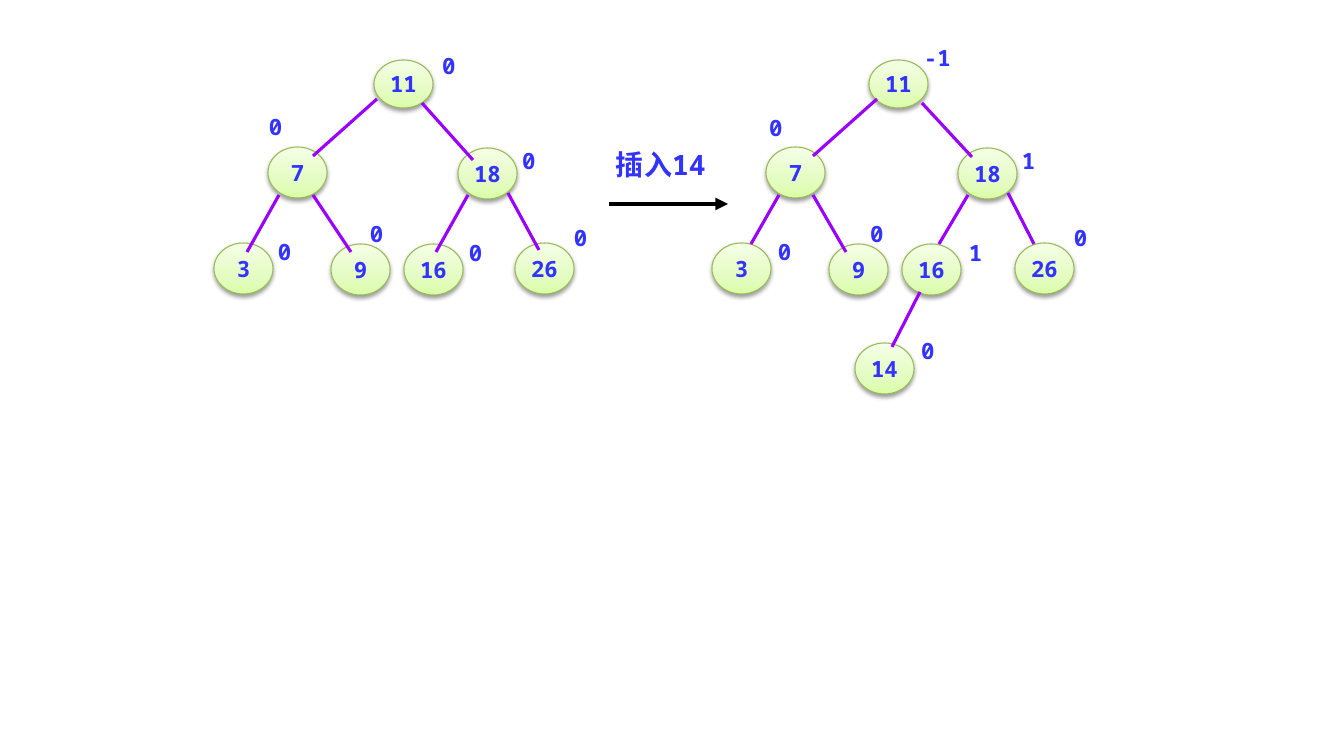
"""Build a slide showing a balanced search tree before and after inserting 14."""
from dataclasses import dataclass

from lxml.etree import SubElement
from pptx import Presentation
from pptx.dml.color import RGBColor
from pptx.enum.shapes import MSO_CONNECTOR, MSO_SHAPE
from pptx.enum.text import MSO_ANCHOR, PP_ALIGN
from pptx.oxml import parse_xml
from pptx.oxml.ns import nsdecls, qn
from pptx.util import Emu, Pt

TREES = [
    {
        "nodes": [
            ("11", (374, 60), "0", (442, 52)),
            ("7", (268, 147), "0", (269, 113)),
            ("18", (458, 148), "0", (522, 147)),
            ("3", (214, 243), "0", (278, 238)),
            ("9", (331, 244), "0", (370, 220)),
            ("16", (404, 244), "0", (469, 239)),
            ("26", (515, 243), "0", (574, 224)),
        ],
        "edges": [
            ((377, 99), (313, 156)),
            ((422, 103), (473, 160)),
            ((279, 195), (247, 252)),
            ((313, 195), (351, 252)),
            ((468, 195), (436, 252)),
            ((508, 193), (539, 250)),
        ],
    },
    {
        "nodes": [
            ("11", (869, 60), "-1", (924, 44)),
            ("7", (766, 147), "0", (769, 114)),
            ("18", (958, 148), "1", (1022, 147)),
            ("3", (712, 243), "0", (778, 238)),
            ("9", (829, 244), "0", (870, 220)),
            ("16", (902, 244), "1", (969, 239)),
            ("26", (1015, 243), "0", (1074, 224)),
            ("14", (855, 343), "0", (921, 337)),
        ],
        "edges": [
            ((877, 99), (813, 156)),
            ((922, 103), (972, 157)),
            ((779, 195), (751, 244)),
            ((813, 195), (846, 252)),
            ((968, 195), (939, 244)),
            ((1008, 193), (1034, 244)),
            ((920, 292), (892, 347)),
        ],
    },
]
STEP = {"text": "插入14", "at": (616, 148), "arrow": ((609, 204), (728, 204))}

SLIDE_SIZE = (1344, 756)
NODE_WIDTH = 59
NODE_HEIGHT = 51
ROOT_HEIGHT = 48
LABEL_SIZE = (36, 33)
CAPTION_SIZE = (103, 33)
EMU_PER_PX = 914400 / 100.8


@dataclass(frozen=True)
class Theme:
    """Colours, font and type sizes of the slide."""
    font: str = "Noto Sans Mono"
    text: str = "3333FF"
    edge: str = "9900FF"
    arrow: str = "000000"
    outline: str = "98B955"
    gradient: tuple = ((0, "DAFDA7"), (35, "E4FCC2"), (100, "F5FFE7"))
    node_size: int = 16
    caption_size: int = 20


THEME = Theme()


def px(length):
    """Turn pixels into EMU."""
    return Emu(round(length * EMU_PER_PX))


def write(shape, text, size, alignment, anchor):
    """Put one bold run of text into a shape without insets."""
    frame = shape.text_frame
    frame.margin_left = frame.margin_right = frame.margin_top = frame.margin_bottom = 0
    frame.word_wrap = True
    frame.vertical_anchor = anchor
    paragraph = frame.paragraphs[0]
    paragraph.alignment = alignment
    run = paragraph.add_run()
    run.text = text
    run.font.name = THEME.font
    run.font.size = Pt(size)
    run.font.bold = True
    run.font.color.rgb = RGBColor.from_string(THEME.text)


def add_label(slide, text, position, extent, size):
    """Add a left-aligned text box."""
    box = slide.shapes.add_textbox(*map(px, position + extent))
    write(box, text, size, PP_ALIGN.LEFT, MSO_ANCHOR.TOP)


def add_node(slide, text, position, height):
    """Add a shaded ellipse holding a key."""
    shape = slide.shapes.add_shape(
        MSO_SHAPE.OVAL, *map(px, position + (NODE_WIDTH, height)))
    shape.line.color.rgb = RGBColor.from_string(THEME.outline)
    shape.line.width = Pt(0.75)
    stops = "".join(
        f'<a:gs pos="{place * 1000}"><a:srgbClr val="{color}"/></a:gs>'
        for place, color in THEME.gradient)
    gradient = parse_xml(
        f'<a:gradFill {nsdecls("a")} rotWithShape="1"><a:gsLst>{stops}</a:gsLst>'
        '<a:lin ang="16200000" scaled="1"/></a:gradFill>')
    shadow = parse_xml(
        f'<a:effectLst {nsdecls("a")}><a:outerShdw blurRad="40000" dist="20000" '
        'dir="5400000" rotWithShape="0"><a:srgbClr val="000000">'
        '<a:alpha val="38000"/></a:srgbClr></a:outerShdw></a:effectLst>')
    properties = shape.element.spPr
    properties.find(qn("a:ln")).addprevious(gradient)
    properties.append(shadow)
    write(shape, text, THEME.node_size, PP_ALIGN.CENTER, MSO_ANCHOR.MIDDLE)


def add_line(slide, start, end, color, width):
    """Add a straight line without a shadow."""
    line = slide.shapes.add_connector(MSO_CONNECTOR.STRAIGHT, *map(px, start + end))
    line.line.color.rgb = RGBColor.from_string(color)
    line.line.width = Pt(width)
    SubElement(line.element.spPr, qn("a:effectLst"))
    return line


def add_tree(slide, tree):
    """Add the nodes, edges and balance factors of a tree."""
    for index, (key, position, _, _) in enumerate(tree["nodes"]):
        add_node(slide, key, position, NODE_HEIGHT if index else ROOT_HEIGHT)
    for start, end in tree["edges"]:
        add_line(slide, start, end, THEME.edge, 2.25)
    for _, _, balance, position in tree["nodes"]:
        add_label(slide, balance, position, LABEL_SIZE, THEME.node_size)


def add_step(slide):
    """Add the captioned arrow between the trees."""
    arrow = add_line(slide, *STEP["arrow"], THEME.arrow, 3)
    SubElement(arrow.element.spPr.find(qn("a:ln")), qn("a:tailEnd"), type="triangle")
    add_label(slide, STEP["text"], STEP["at"], CAPTION_SIZE, THEME.caption_size)


def main():
    """Build and save the presentation."""
    presentation = Presentation()
    presentation.slide_width, presentation.slide_height = map(px, SLIDE_SIZE)
    slide = presentation.slides.add_slide(presentation.slide_layouts[6])
    for tree in TREES:
        add_tree(slide, tree)
    add_step(slide)
    presentation.save("out.pptx")


if __name__ == "__main__":
    main()
